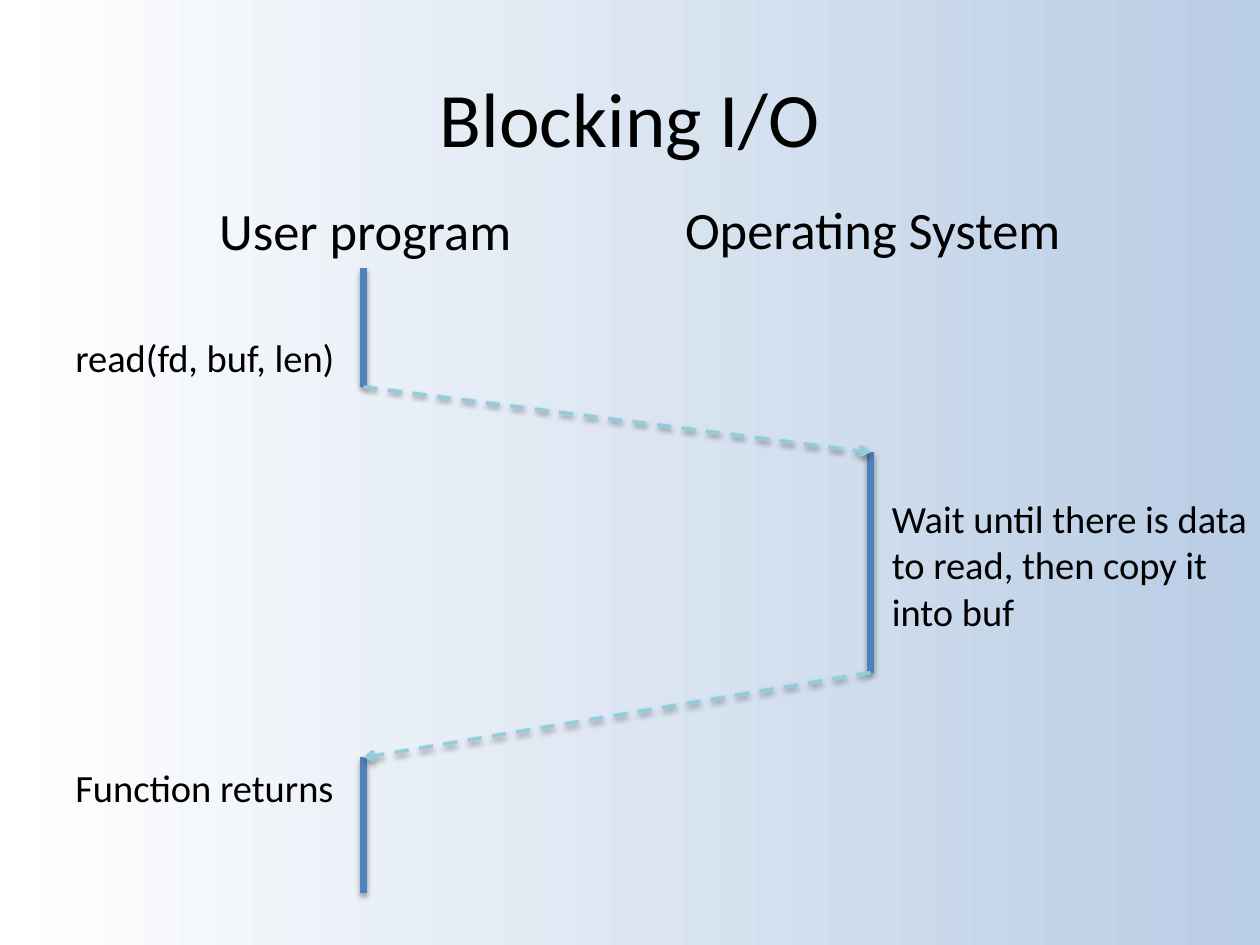
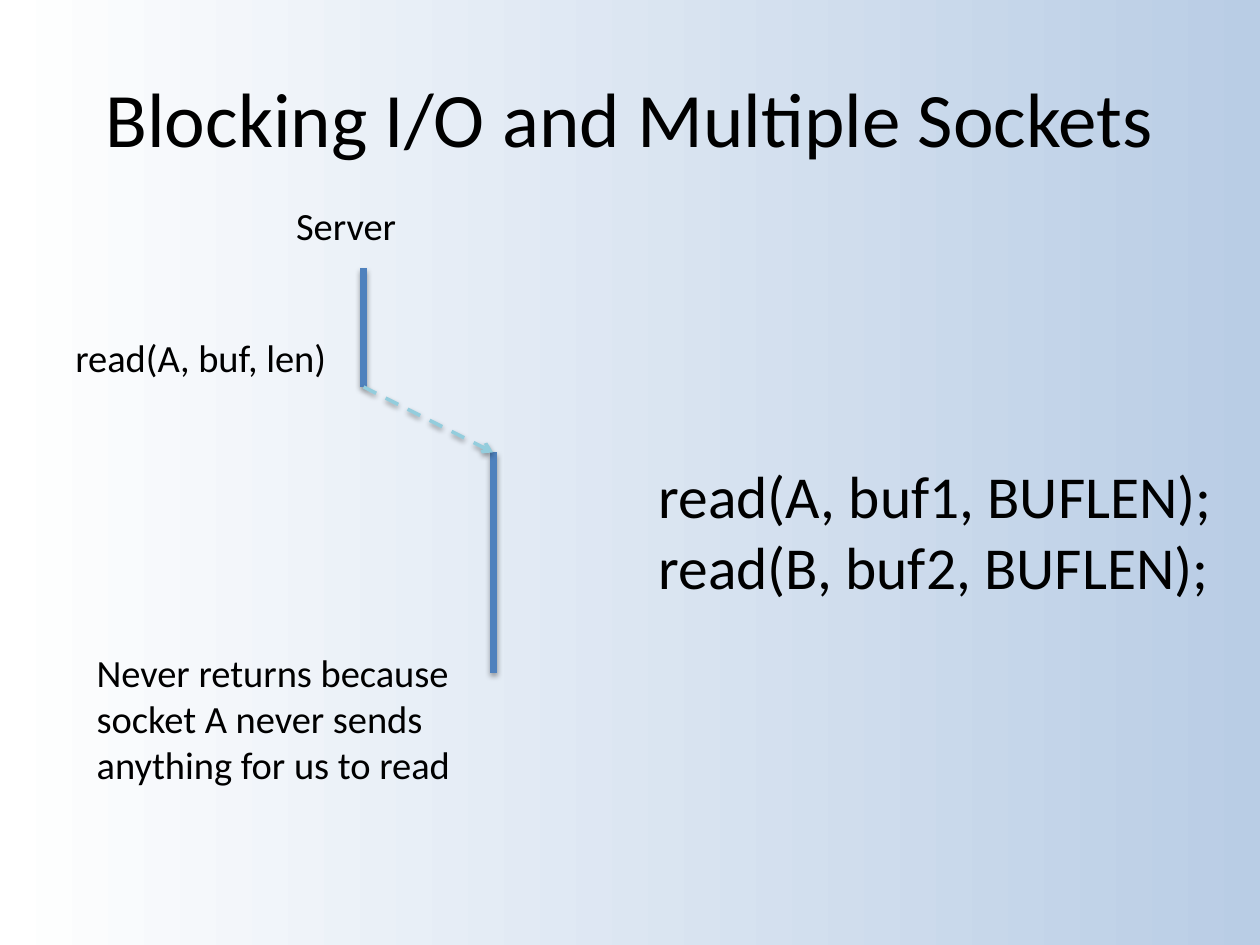
from lxml import etree
from pptx import Presentation
from pptx.dml.color import RGBColor
from pptx.enum.dml import MSO_LINE
from pptx.enum.shapes import MSO_CONNECTOR
from pptx.enum.text import MSO_ANCHOR, MSO_AUTO_SIZE, PP_ALIGN
from pptx.oxml.ns import qn
from pptx.util import Cm, Pt

STRAIGHT = MSO_CONNECTOR.STRAIGHT
DASH = MSO_LINE.DASH
MIDDLE = MSO_ANCHOR.MIDDLE
GROW = MSO_AUTO_SIZE.SHAPE_TO_FIT_TEXT
CENTER = PP_ALIGN.CENTER

THEME = {
    "font": "Calibri",
    "text": "000000",
    "background": ("FFFFFF", "B9CDE5"),
    "sizes": {"title": 44, "code": 34, "heading": 30, "label": 22},
    "lines": {
        "lifeline": {"color": "4F81BD", "format": {"width": Pt(4)}},
        "call": {"color": "93CDDD", "format": {"width": Pt(2), "dash_style": DASH}},
    },
    "shadow": {"blurRad": "40000", "dist": "20000", "dir": "5400000", "rotWithShape": "0"},
    "shadow_alpha": "38000",
}

# Shared measures, in cm
TITLE_AREA = (1.27, 0.76, 22.86, 3.18)
LABEL_LEFT = 1.27
LABEL_HEIGHT, NOTE_HEIGHT, NOTE_WIDTH = 1.19, 3.07, 8.03
USER_X, SYSTEM_X, BLOCKED_X = 7.33, 17.55, 9.94
START, CALL, ARRIVE, LEAVE, RETURN, END = 5.41, 7.8, 9.12, 13.56, 15.27, 18.01

# Content: lifelines are (x, top, bottom); calls join two (x, y) points;
# texts are (style, lines, area, wraps)
SLIDES = [
    {
        "title": "Blocking I/O",
        "lifelines": [(USER_X, START, CALL), (SYSTEM_X, ARRIVE, LEAVE), (USER_X, RETURN, END)],
        "calls": [((USER_X, CALL), (SYSTEM_X, ARRIVE)), ((SYSTEM_X, LEAVE), (USER_X, RETURN))],
        "texts": [
            ("heading", ["User program"], (4.17, 3.86, 6.45, 1.55), False),
            ("heading", ["Operating System"], (13.56, 3.84, 8.18, 1.55), False),
            ("label", ["read(fd, buf, len)"], (LABEL_LEFT, 6.6, 5.79, LABEL_HEIGHT), False),
            ("label", ["Wait until there is data to read, then copy it into buf"],
             (17.73, 9.86, NOTE_WIDTH, NOTE_HEIGHT), True),
            ("label", ["Function returns"], (LABEL_LEFT, RETURN, 5.79, LABEL_HEIGHT), False),
        ],
    },
    {
        "title": "Blocking I/O and Multiple Sockets",
        "lifelines": [(USER_X, START, CALL), (BLOCKED_X, ARRIVE, LEAVE)],
        "calls": [((USER_X, CALL), (BLOCKED_X, ARRIVE))],
        "texts": [
            ("label", ["read(A, buf, len)"], (LABEL_LEFT, 6.6, 5.64, LABEL_HEIGHT), False),
            ("label", ["Never returns because socket A never sends anything for us to read"],
             (1.7, 12.95, NOTE_WIDTH, NOTE_HEIGHT), True),
            ("label", ["Server"], (5.72, 3.94, 2.59, LABEL_HEIGHT), False),
            ("code", ["read(A, buf1, BUFLEN);", "read(B, buf2, BUFLEN);"],
             (13.03, 9.12, 11.79, 3.18), False),
        ],
    },
]


def apply(target, values):
    for name, value in values.items():
        setattr(target, name, value)


def paint_background(page):
    fill = page.background.fill
    fill.gradient()
    fill.gradient_angle = 0
    for position, (stop, color) in enumerate(zip(fill.gradient_stops, THEME["background"])):
        stop.color.rgb = RGBColor.from_string(color)
        stop.position = position


def add_text(page, style, lines, area, frame_format, alignment=None):
    box = page.shapes.add_textbox(*map(Cm, area))
    frame = box.text_frame
    apply(frame, frame_format)
    for index, line in enumerate(lines):
        para = frame.add_paragraph() if index else frame.paragraphs[0]
        para.alignment = alignment
        span = para.add_run()
        span.text = line
        apply(span.font, {"name": THEME["font"], "size": Pt(THEME["sizes"][style])})
        span.font.color.rgb = RGBColor.from_string(THEME["text"])


def add_line(page, style, start, end):
    connector = page.shapes.add_connector(STRAIGHT, *map(Cm, start + end))
    look = THEME["lines"][style]
    connector.line.color.rgb = RGBColor.from_string(look["color"])
    apply(connector.line, look["format"])
    properties = connector._element.spPr
    if style == "call":
        etree.SubElement(properties.find(qn("a:ln")), qn("a:tailEnd"), type="arrow")
    # Soft shadow below the line
    effects = etree.SubElement(properties, qn("a:effectLst"))
    shadow = etree.SubElement(effects, qn("a:outerShdw"), THEME["shadow"])
    color = etree.SubElement(shadow, qn("a:srgbClr"), val="000000")
    etree.SubElement(color, qn("a:alpha"), val=THEME["shadow_alpha"])


deck = Presentation()
apply(deck, {"slide_width": Cm(25.4), "slide_height": Cm(19.05)})
blank = deck.slide_layouts[6]

for content in SLIDES:
    page = deck.slides.add_slide(blank)
    paint_background(page)
    add_text(page, "title", [content["title"]], TITLE_AREA,
             {"word_wrap": True, "vertical_anchor": MIDDLE}, CENTER)
    # Sequence diagram
    for x, top, bottom in content["lifelines"]:
        add_line(page, "lifeline", (x, top), (x, bottom))
    for start, end in content["calls"]:
        add_line(page, "call", start, end)
    # Headings, labels and code
    for style, lines, area, wraps in content["texts"]:
        add_text(page, style, lines, area, {"word_wrap": wraps, "auto_size": GROW})

deck.save("out.pptx")
